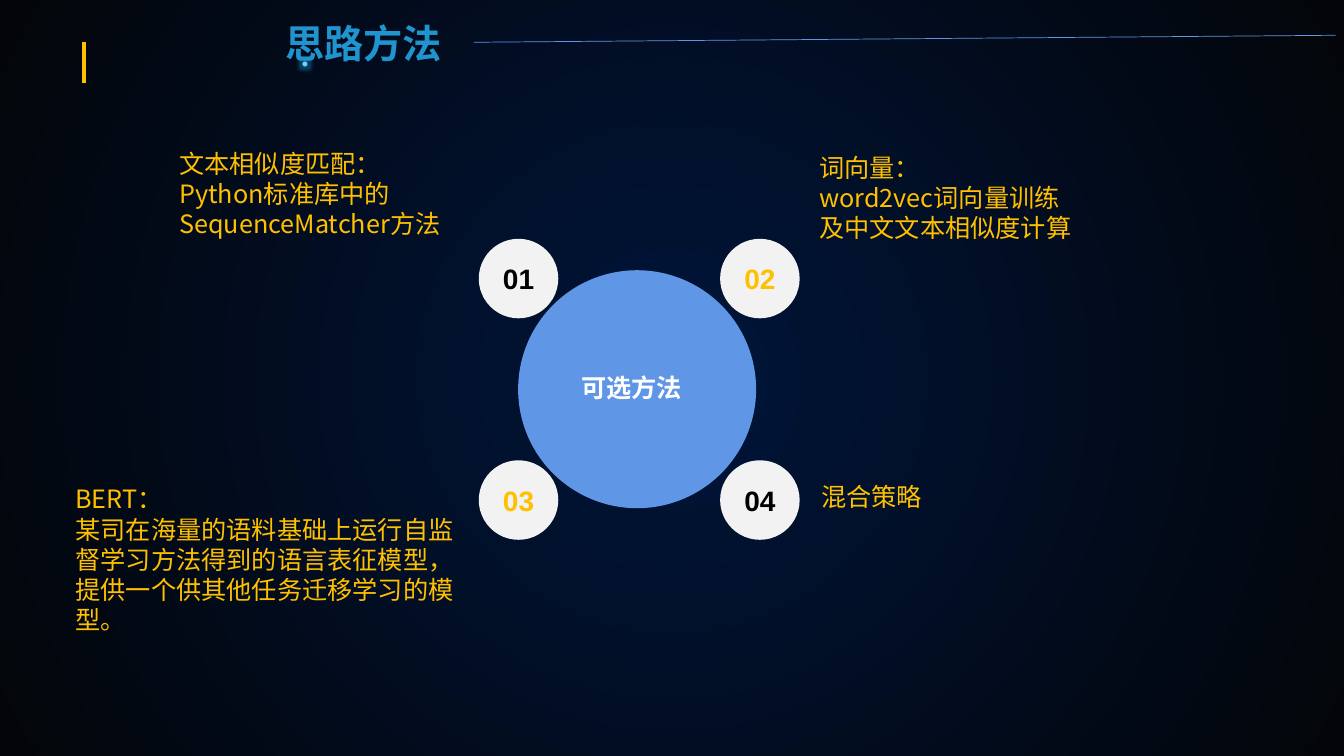
"""Build the slide on candidate methods: a hub circle with four numbered notes."""
import pptx
import pptx.dml.color
import pptx.enum.shapes
import pptx.enum.text
import pptx.oxml
import pptx.oxml.ns
import pptx.util

Pt = pptx.util.Pt
RGBColor = pptx.dml.color.RGBColor
Shape = pptx.enum.shapes.MSO_SHAPE

GOLD = RGBColor(0xFF, 0xC0, 0x00)
BLUE = RGBColor(0x60, 0x96, 0xE6)
TITLE_BLUE = RGBColor(0x20, 0x94, 0xCE)
CYAN = RGBColor(0x65, 0xD7, 0xFF)
PALE = RGBColor(0xF2, 0xF2, 0xF2)
WHITE = RGBColor(0xFF, 0xFF, 0xFF)
BLACK = RGBColor(0x00, 0x00, 0x00)
NAVY = RGBColor(0x00, 0x15, 0x3A)
NIGHT = RGBColor(0x03, 0x05, 0x09)

NOTO = "Noto Sans CJK SC"
ARIAL = "Arial"

TITLE = "思路方法"
HUB = "可选方法"
METHODS = [
    ("01", BLACK, (121, 102.2, 235.4, 121),
     ["文本相似度匹配：", "Python标准库中的SequenceMatcher方法"]),
    ("02", GOLD, (578.2, 105.1, 244.8, 77),
     ["词向量：", "word2vec词向量训练", "及中文文本相似度计算"]),
    ("03", GOLD, (46.8, 342, 294.5, 138.2),
     ["BERT：", "某司在海量的语料基础上运行自监督学习方法得到的语言表征模型，"
      "提供一个供其他任务迁移学习的模型。"]),
    ("04", BLACK, (579.6, 340.6, 244.8, 125.3), ["混合策略"]),
]

HUB_LEFT, HUB_TOP, HUB_SIZE = 370.1, 193, 170
BADGE_LEFT, BADGE_TOP, BADGE_SIZE = 342, 170.6, 56.8
BADGE_STEP_X, BADGE_STEP_Y = 172.4, 158.2


def drawing_xml(tag, body, attributes=""):
    namespace = pptx.oxml.ns.nsdecls("a")
    return pptx.oxml.parse_xml(f"<a:{tag} {namespace} {attributes}>{body}</a:{tag}>")


def write(frame, lines, size, color, font_name, bold=False, align=None):
    for index, line in enumerate(lines):
        paragraph = frame.paragraphs[0] if index == 0 else frame.add_paragraph()
        paragraph.alignment = align
        run = paragraph.add_run()
        run.text = line
        font = run.font
        font.size, font.bold, font.name = Pt(size), bold, font_name
        font.color.rgb = color
        run.font.fill
        run._r.get_or_add_rPr().append(drawing_xml("ea", "", f'typeface="{NOTO}"'))


def add_text(slide, box, lines, size, color, font_name, bold=False):
    frame = slide.shapes.add_textbox(*map(Pt, box)).text_frame
    frame.word_wrap = True
    write(frame, lines, size, color, font_name, bold)


def add_disc(slide, kind, left, top, size, color):
    disc = slide.shapes.add_shape(kind, Pt(left), Pt(top), Pt(size), Pt(size))
    if kind == Shape.ROUNDED_RECTANGLE:
        disc.adjustments[0] = 0.5
    disc.shadow.inherit = False
    disc.fill.solid()
    disc.fill.fore_color.rgb = color
    disc.line.fill.background()
    return disc


def add_rule(slide, start, end, color, width):
    rule = slide.shapes.add_connector(
        pptx.enum.shapes.MSO_CONNECTOR.STRAIGHT, *map(Pt, start + end))
    rule.line.color.rgb = color
    rule.line.width = Pt(width)
    rule._element.spPr.append(drawing_xml("effectLst", ""))


def paint_background(slide):
    fill = slide.background.fill
    fill.gradient()
    for stop, color, position in zip(fill.gradient_stops, (NAVY, NIGHT), (0, 1)):
        stop.color.rgb = color
        stop.position = position
    gradient = slide.background._cSld.find(".//" + pptx.oxml.ns.qn("a:gradFill"))
    linear = gradient.find(pptx.oxml.ns.qn("a:lin"))
    center = '<a:fillToRect l="50000" t="50000" r="50000" b="50000"/>'
    gradient.replace(linear, drawing_xml("path", center, 'path="circle"'))


def main():
    deck = pptx.Presentation()
    deck.slide_width, deck.slide_height = Pt(960), Pt(540)
    slide = deck.slides.add_slide(deck.slide_layouts[6])
    paint_background(slide)

    add_text(slide, (196.6, 10.1, 141.8, 41), [TITLE], 28, TITLE_BLUE, NOTO, True)
    add_rule(slide, (60.2, 29.8), (60.2, 59.4), GOLD, 3)
    add_rule(slide, (338.4, 30.2), (954, 25.2), BLUE, 0.5)
    spark = add_disc(slide, Shape.OVAL, 216, 43.9, 3.6, CYAN)
    glow = f'<a:srgbClr val="{TITLE_BLUE}"><a:alpha val="40000"/></a:srgbClr>'
    effects = spark._element.spPr.find(pptx.oxml.ns.qn("a:effectLst"))
    effects.append(drawing_xml("glow", glow, f'rad="{Pt(5)}"'))

    add_disc(slide, Shape.ROUNDED_RECTANGLE, HUB_LEFT, HUB_TOP, HUB_SIZE, BLUE)
    add_text(slide, (408.2, 262.1, 96.5, 28.8), [HUB], 18, WHITE, ARIAL, True)

    for index, (number, number_color, note_box, note) in enumerate(METHODS):
        row, column = divmod(index, 2)
        badge = add_disc(slide, Shape.ROUNDED_RECTANGLE,
                         BADGE_LEFT + column * BADGE_STEP_X,
                         BADGE_TOP + row * BADGE_STEP_Y, BADGE_SIZE, PALE)
        badge.text_frame.vertical_anchor = pptx.enum.text.MSO_ANCHOR.MIDDLE
        write(badge.text_frame, [number], 20, number_color, ARIAL, True,
              pptx.enum.text.PP_ALIGN.CENTER)
        add_text(slide, note_box, note, 18, GOLD, NOTO)

    deck.save("out.pptx")


if __name__ == "__main__":
    main()
